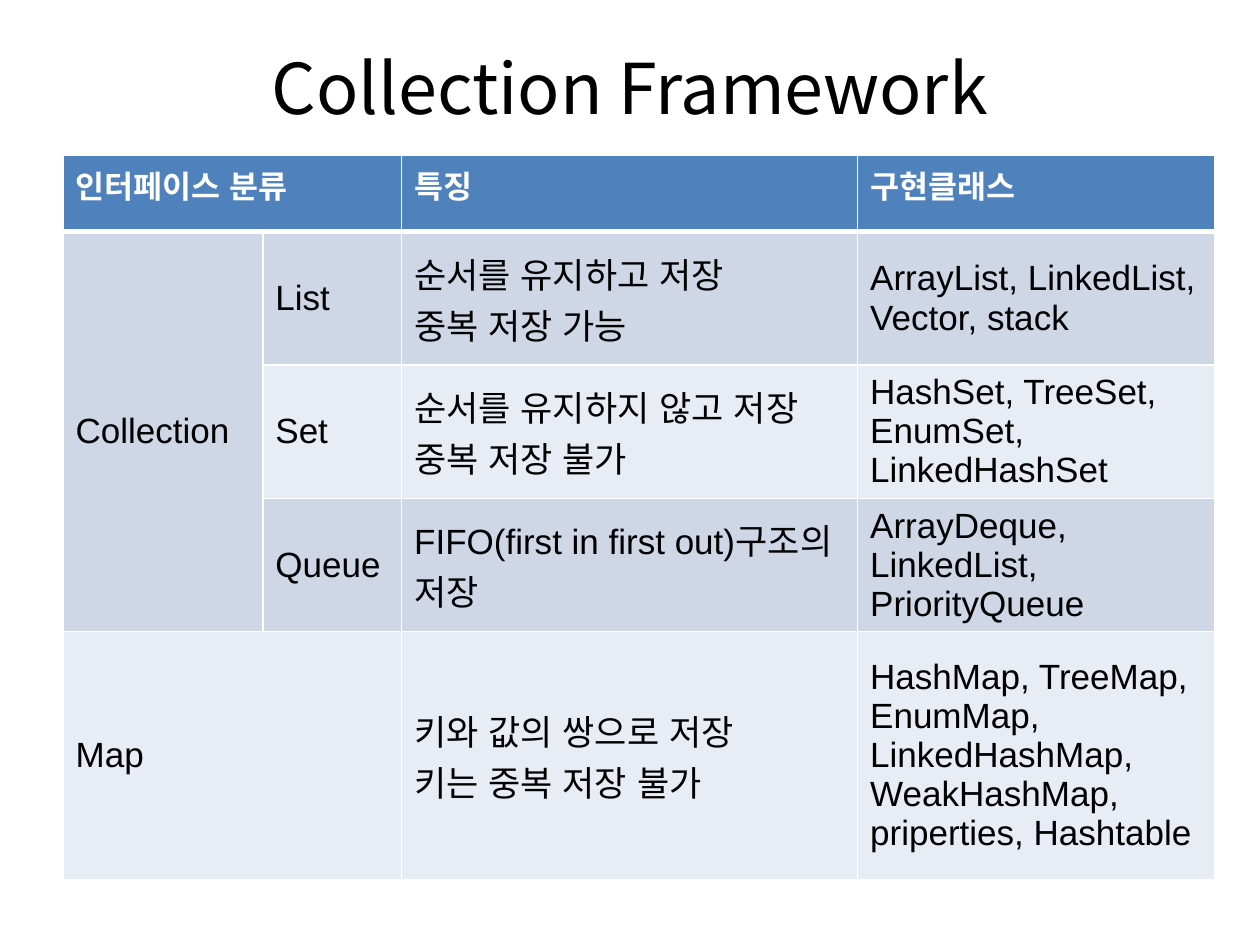
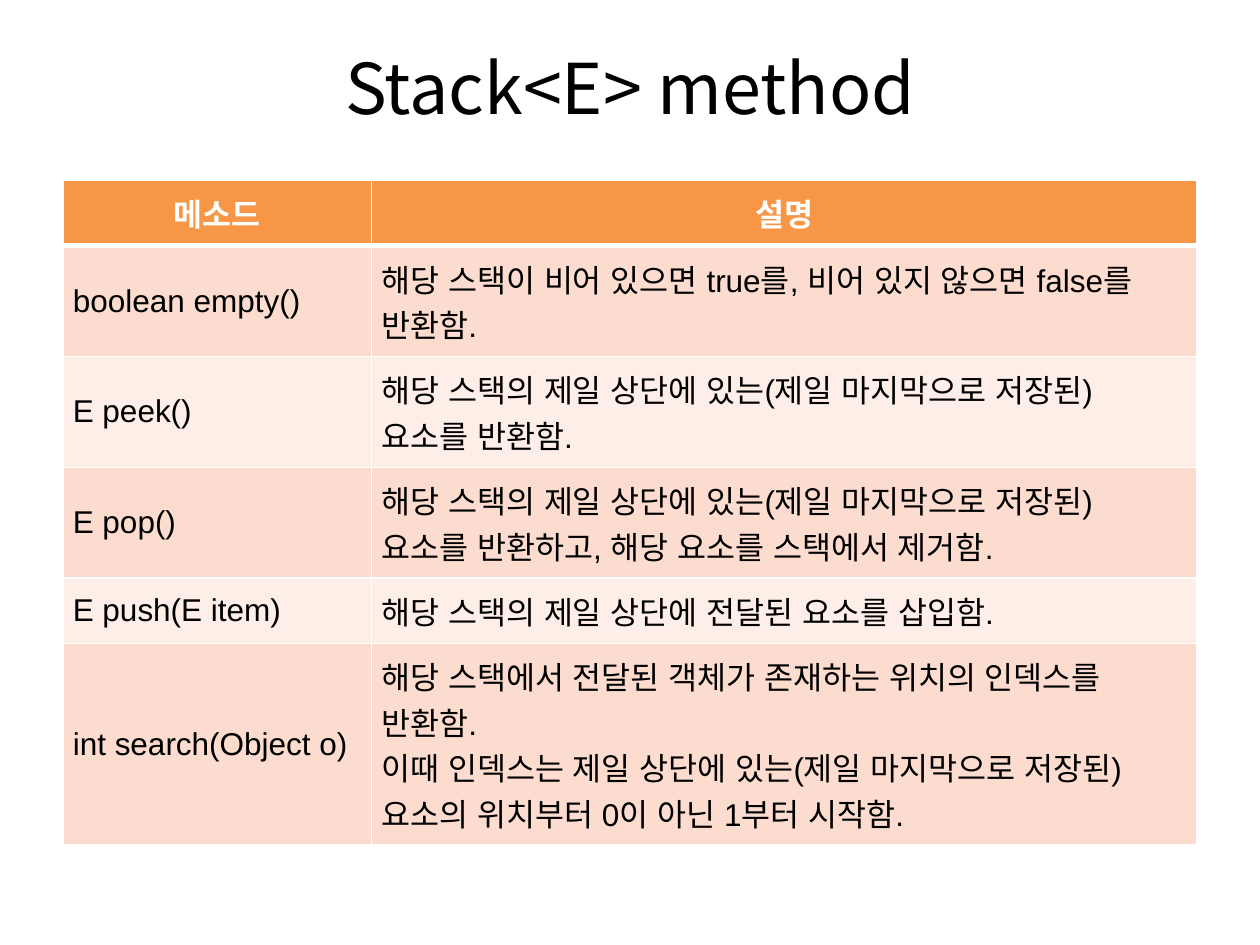
"""Build two slides of Java collection tables."""
from lxml.etree import SubElement
from pptx import Presentation
from pptx.dml.color import RGBColor
from pptx.enum.lang import MSO_LANGUAGE_ID
from pptx.enum.text import MSO_ANCHOR, PP_ALIGN
from pptx.oxml import parse_xml
from pptx.oxml.ns import nsdecls, qn
from pptx.util import Pt

BLACK = RGBColor(0x00, 0x00, 0x00)
WHITE = RGBColor(0xFF, 0xFF, 0xFF)
BLUE = RGBColor(0x4F, 0x81, 0xBD)
BLUE_BANDS = (RGBColor(0xCF, 0xD7, 0xE7), RGBColor(0xE8, 0xEC, 0xF4))
ORANGE = RGBColor(0xF7, 0x96, 0x46)
ORANGE_BANDS = (RGBColor(0xFC, 0xDC, 0xCE), RGBColor(0xFD, 0xEE, 0xE8))
KOREAN_FONT = "Noto Sans CJK KR"
LATIN_FONT = "Arial"


def style_text(tf, font, size, color, bold, align):
    for p in tf.paragraphs:
        p.alignment = align
        for r in p.runs:
            r.font.name = font
            r.font.size = Pt(size)
            r.font.bold = bold
            r.font.color.rgb = color
            r.font.language_id = MSO_LANGUAGE_ID.KOREAN
            SubElement(r.font._element, qn("a:ea"), typeface=KOREAN_FONT)


def set_borders(cell, top, bottom):
    tc_pr = cell._tc.get_or_add_tcPr()
    for i, (side, width) in enumerate((("L", 1), ("R", 1), ("T", top), ("B", bottom))):
        tc_pr.insert(i, parse_xml(
            f'<a:ln{side} {nsdecls("a")} w="{Pt(width)}"><a:solidFill>'
            f'<a:srgbClr val="{WHITE}"/></a:solidFill></a:ln{side}>'))


collections = [
    ["인터페이스 분류", "", "특징", "구현클래스"],
    ["Collection", "List", "순서를 유지하고 저장\n중복 저장 가능",
     "ArrayList, LinkedList, Vector, stack"],
    ["", "Set", "순서를 유지하지 않고 저장\n중복 저장 불가",
     "HashSet, TreeSet, EnumSet, LinkedHashSet"],
    ["", "Queue", "FIFO(first in first out)구조의 저장",
     "ArrayDeque, LinkedList, PriorityQueue"],
    ["Map", "", "키와 값의 쌍으로 저장\n키는 중복 저장 불가",
     "HashMap, TreeMap, EnumMap, LinkedHashMap, WeakHashMap, priperties, Hashtable"],
]
stack_methods = [
    ["메소드", "설명"],
    ["boolean empty()", "해당 스택이 비어 있으면 true를, 비어 있지 않으면 false를 반환함."],
    ["E peek()", "해당 스택의 제일 상단에 있는(제일 마지막으로 저장된) 요소를 반환함."],
    ["E pop()", "해당 스택의 제일 상단에 있는(제일 마지막으로 저장된) 요소를 반환하고, "
                "해당 요소를 스택에서 제거함."],
    ["E push(E item)", "해당 스택의 제일 상단에 전달된 요소를 삽입함."],
    ["int search(Object o)",
     "해당 스택에서 전달된 객체가 존재하는 위치의 인덱스를 반환함.\n"
     "이때 인덱스는 제일 상단에 있는(제일 마지막으로 저장된) 요소의 위치부터 0이 아닌 1부터 시작함."],
]
slides = [
    dict(title="Collection Framework", rows=collections, top=88.7,
         widths=[114.2, 79.3, 260.6, 204], heights=[43.7, 76.2, 76.2, 76.2, 141.5],
         merges=[(0, 0, 0, 1), (1, 0, 3, 0), (4, 0, 4, 1)], accent=BLUE, bands=BLUE_BANDS,
         size=20, margins=(7.2, 3.6), head_anchor=MSO_ANCHOR.TOP, head_align=PP_ALIGN.LEFT),
    dict(title="Stack<E> method", rows=stack_methods, top=103.2,
         widths=[176.4, 471.6], heights=[29.5] * 6,
         merges=[], accent=ORANGE, bands=ORANGE_BANDS,
         size=18, margins=(5.6, 5.6), head_anchor=MSO_ANCHOR.MIDDLE,
         head_align=PP_ALIGN.CENTER),
]

prs = Presentation()
prs.slide_width, prs.slide_height = Pt(720), Pt(540)

for page in slides:
    s = prs.slides.add_slide(prs.slide_layouts[5])
    title = s.shapes.title
    title.left, title.top, title.width, title.height = Pt(36), Pt(21.6), Pt(648), Pt(55.4)
    tf = title.text_frame
    tf.text = page["title"]
    tf.vertical_anchor = MSO_ANCHOR.MIDDLE
    style_text(tf, KOREAN_FONT, 40, BLACK, False, PP_ALIGN.CENTER)

    rows, widths, heights = page["rows"], page["widths"], page["heights"]
    table = s.shapes.add_table(len(rows), len(widths), Pt(36), Pt(page["top"]),
                               Pt(sum(widths)), Pt(sum(heights))).table
    for column, width in zip(table.columns, widths):
        column.width = Pt(width)
    for row, height in zip(table.rows, heights):
        row.height = Pt(height)

    margin_x, margin_y = page["margins"]
    for i, texts in enumerate(rows):
        head = i == 0
        for j, text in enumerate(texts):
            cell = table.cell(i, j)
            cell.text_frame.text = text
            cell.margin_left = cell.margin_right = Pt(margin_x)
            cell.margin_top = cell.margin_bottom = Pt(margin_y)
            cell.vertical_anchor = page["head_anchor"] if head else MSO_ANCHOR.MIDDLE
            cell.fill.solid()
            cell.fill.fore_color.rgb = page["accent"] if head else page["bands"][(i - 1) % 2]
            set_borders(cell, 3 if i == 1 else 1, 3 if head else 1)
            style_text(cell.text_frame, LATIN_FONT, 18 if head else page["size"],
                       WHITE if head else BLACK, head,
                       page["head_align"] if head else PP_ALIGN.LEFT)
    for top, left, bottom, right in page["merges"]:
        table.cell(top, left).merge(table.cell(bottom, right))

prs.save("out.pptx")
